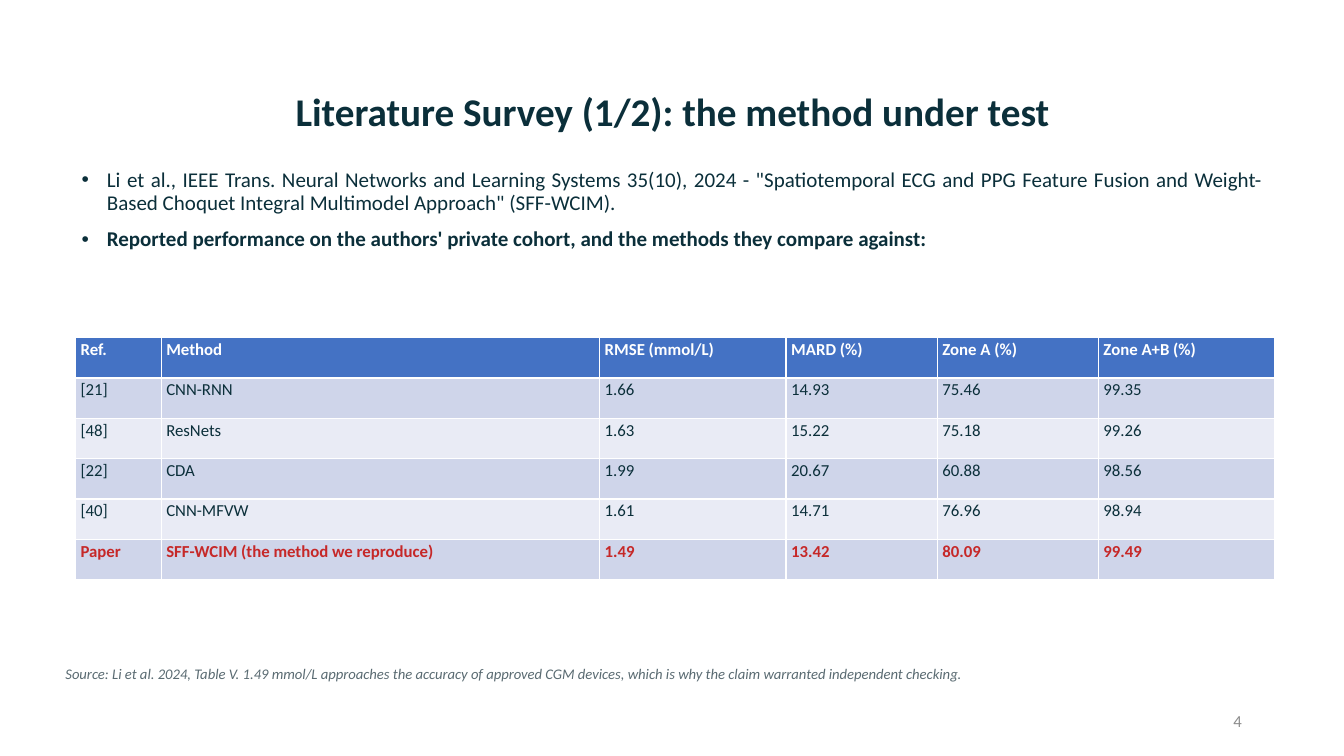
from pptx import Presentation
from pptx.dml.color import RGBColor
from pptx.enum import text
from pptx.util import Cm, Pt

THEME = {
    "font": "Calibri",
    "ink": "0B2F3A", "muted": "5A6B72", "number": "8C8C8C",
    "white": "FFFFFF", "accent": "C62828",
    "header": "4472C4", "bands": ("CFD5EA", "E9EBF5"),
    "title_size": 28, "body_size": 15, "table_size": 12,
    "source_size": 10.5, "number_size": 12,
}
ALIGN = text.PP_ALIGN


def place(sp, left, top, width, height):
    box = dict(left=left, top=top, width=width, height=height)
    for name, value in box.items():
        setattr(sp, name, Cm(value))


def write(p, words, size, color, align=ALIGN.LEFT, **style):
    p.alignment = align
    r = p.add_run()
    r.text = words
    style.update(name=THEME["font"], size=Pt(size))
    for name, value in style.items():
        setattr(r.font, name, value)
    r.font.color.rgb = RGBColor.from_string(color)


prs = Presentation()
prs.slide_width, prs.slide_height = Cm(33.87), Cm(19.05)
s = prs.slides.add_slide(prs.slide_layouts[1])

# Title
title = s.shapes.title
place(title, 2.34, 1.02, 29.21, 3.68)
tf = title.text_frame
tf.auto_size = text.MSO_AUTO_SIZE.NONE
tf.vertical_anchor = text.MSO_ANCHOR.MIDDLE
p = tf.paragraphs[0]
p.line_spacing = 0.9
write(p, "Literature Survey (1/2): the method under test",
      THEME["title_size"], THEME["ink"], ALIGN.CENTER, bold=True)

# Bulleted introduction
body = s.placeholders[1]
place(body, 1.8, 4.14, 30.28, 3.43)
tf = body.text_frame
tf.auto_size = text.MSO_AUTO_SIZE.NONE
bullets = [
    ('Li et al., IEEE Trans. Neural Networks and Learning Systems 35(10), 2024 - '
     '"Spatiotemporal ECG and PPG Feature Fusion and Weight-Based Choquet Integral '
     'Multimodel Approach" (SFF-WCIM).', False),
    ("Reported performance on the authors' private cohort, "
     "and the methods they compare against:", True),
]
for i, (words, bold) in enumerate(bullets):
    p = tf.add_paragraph() if i else tf.paragraphs[0]
    pPr = p._p.get_or_add_pPr()
    pPr.set("marL", str(Cm(0.64)))
    pPr.set("indent", str(-Cm(0.64)))
    p.line_spacing = 0.9
    p.space_before = Pt(10 if i else 0)
    write(p, words, THEME["body_size"], THEME["ink"], ALIGN.JUSTIFY, bold=bold)

# Comparison table
rows = [
    ("Ref.", "Method", "RMSE (mmol/L)", "MARD (%)", "Zone A (%)", "Zone A+B (%)"),
    ("[21]", "CNN-RNN", "1.66", "14.93", "75.46", "99.35"),
    ("[48]", "ResNets", "1.63", "15.22", "75.18", "99.26"),
    ("[22]", "CDA", "1.99", "20.67", "60.88", "98.56"),
    ("[40]", "CNN-MFVW", "1.61", "14.71", "76.96", "98.94"),
    ("Paper", "SFF-WCIM (the method we reproduce)", "1.49", "13.42", "80.09", "99.49"),
]
widths = (2.16, 11.05, 4.7, 3.81, 4.06, 4.45)
margins = dict(margin_left=Cm(0.13), margin_right=Cm(0.13),
               margin_top=Cm(0.05), margin_bottom=Cm(0.05))
table = s.shapes.add_table(len(rows), len(widths), Cm(1.9), Cm(8.51),
                           Cm(sum(widths)), Cm(6.1)).table
for column, width in zip(table.columns, widths):
    column.width = Cm(width)

for i, row in enumerate(rows):
    is_header, is_paper = i == 0, i == len(rows) - 1
    fill = THEME["header"] if is_header else THEME["bands"][(i - 1) % 2]
    color = THEME["white" if is_header else "accent" if is_paper else "ink"]
    for j, words in enumerate(row):
        cell = table.cell(i, j)
        for name, value in margins.items():
            setattr(cell, name, value)
        cell.fill.solid()
        cell.fill.fore_color.rgb = RGBColor.from_string(fill)
        write(cell.text_frame.paragraphs[0], words, THEME["table_size"], color,
              bold=is_header or is_paper)

# Source line
source = s.shapes.add_textbox(Cm(1.4), Cm(16.64), Cm(30.99), Cm(1.02))
tf = source.text_frame
tf.word_wrap = True
write(tf.paragraphs[0],
      "Source: Li et al. 2024, Table V. 1.49 mmol/L approaches the accuracy of approved "
      "CGM devices, which is why the claim warranted independent checking.",
      THEME["source_size"], THEME["muted"], italic=True)

# Slide number
number = s.shapes.add_textbox(Cm(23.93), Cm(17.65), Cm(7.62), Cm(1.02))
tf = number.text_frame
tf.word_wrap = True
tf.vertical_anchor = text.MSO_ANCHOR.MIDDLE
write(tf.paragraphs[0], "4", THEME["number_size"], THEME["number"], ALIGN.RIGHT)

prs.save("out.pptx")
